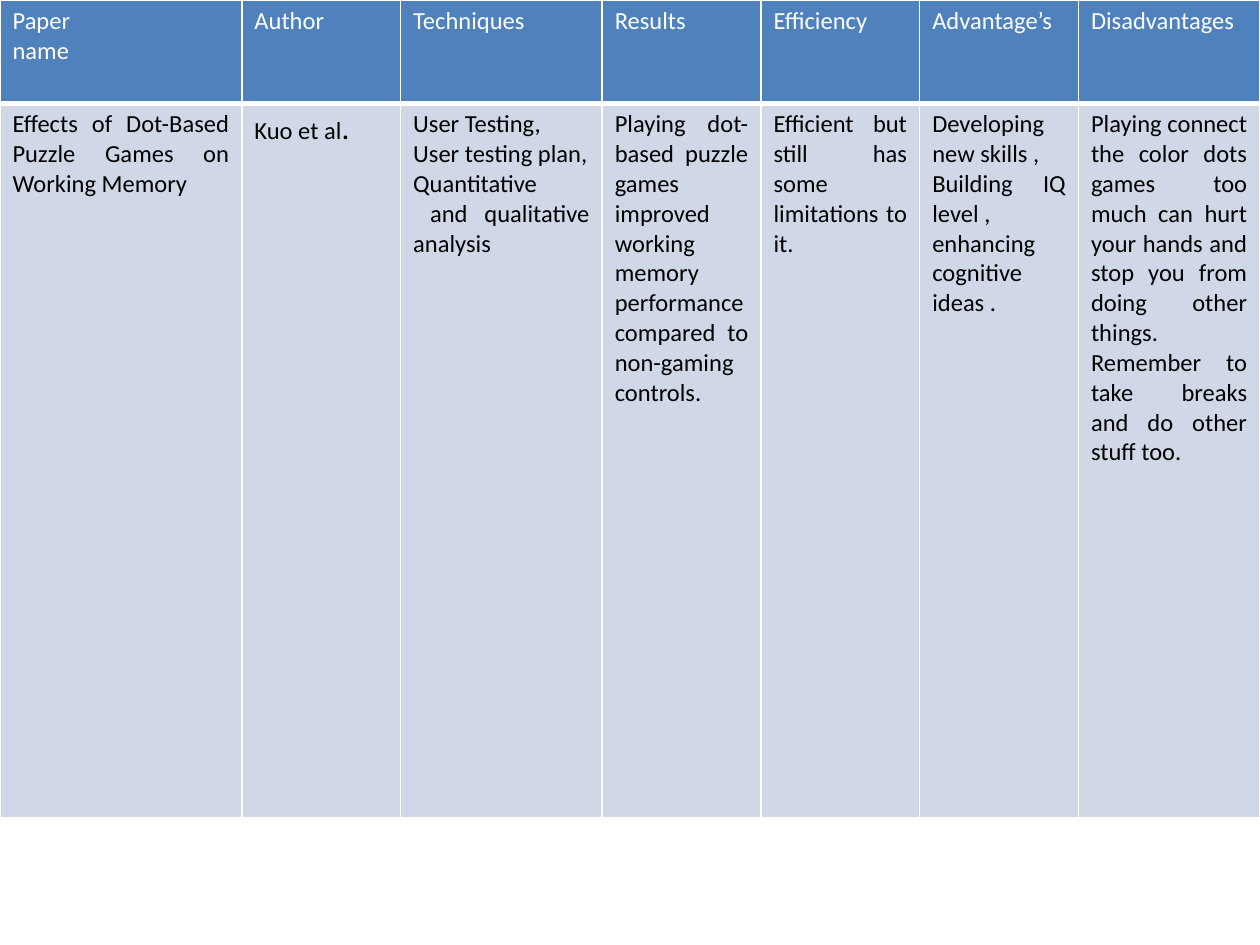
import pptx
import pptx.dml.color
import pptx.enum.text
import pptx.oxml
import pptx.oxml.ns
import pptx.util
from pptx.util import Inches

COLORS = {"header": "4F81BD", "body": "D0D8E8", "border": "FFFFFF",
          "header_text": "FFFFFF", "body_text": "000000"}

# Heading paragraphs, body paragraphs, column width; a paragraph is a list of (text, size) runs
# or a plain string.
COLUMNS = [
    (["Paper", "name"], ["Effects of Dot-Based Puzzle Games on Working Memory"], 1.92),
    (["Author"], [[("Kuo et al", 14), (".", 18)]], 1.26),
    (["Techniques"], ["User Testing,", "User testing plan,", "Quantitative",
                      " and qualitative analysis"], 1.6),
    (["Results"], ["Playing dot-based puzzle games improved working memory performance "
                   "compared to non-gaming controls."], 1.26),
    (["Efficiency "], ["Efficient but still has some limitations to it."], 1.26),
    (["Advantage’s"], ["Developing new skills ,", "Building IQ level ,",
                       "enhancing cognitive ideas ."], 1.26),
    (["Disadvantages"], ["Playing connect the color dots games too much can hurt your hands "
                         "and stop you from doing other things. Remember to take breaks "
                         "and do other stuff too."], 1.44),
]
ROW_HEIGHTS = [0.82, 5.67]


def rgb(name):
    return pptx.dml.color.RGBColor.from_string(COLORS[name])


def write_text(frame, paragraphs, color, size=14, font="Calibri"):
    for index, content in enumerate(paragraphs):
        paragraph = frame.paragraphs[0] if index == 0 else frame.add_paragraph()
        paragraph.alignment = pptx.enum.text.PP_ALIGN.JUSTIFY
        runs = [(content, size)] if isinstance(content, str) else content
        for text, run_size in runs:
            run = paragraph.add_run()
            run.text = text
            run.font.name = font
            run.font.size = pptx.util.Pt(run_size)
            run.font.color.rgb = rgb(color)


def set_borders(cell, bottom_width):
    properties = cell._tc.get_or_add_tcPr()
    for side, width in (("L", 1), ("R", 1), ("T", 1), ("B", bottom_width)):
        properties.append(pptx.oxml.parse_xml(
            f'<a:ln{side} {pptx.oxml.ns.nsdecls("a")} w="{pptx.util.Pt(width)}">'
            f'<a:solidFill><a:srgbClr val="{COLORS["border"]}"/></a:solidFill></a:ln{side}>'))


def fill_cell(cell, paragraphs, style, bottom_width):
    write_text(cell.text_frame, paragraphs, f"{style}_text")
    set_borders(cell, bottom_width)
    cell.fill.solid()
    cell.fill.fore_color.rgb = rgb(style)


def main():
    deck = pptx.Presentation()
    deck.slide_width, deck.slide_height = Inches(10), Inches(7.5)
    slide = deck.slides.add_slide(deck.slide_layouts[6])
    table = slide.shapes.add_table(len(ROW_HEIGHTS), len(COLUMNS), 0, 0,
                                   Inches(10), Inches(sum(ROW_HEIGHTS))).table
    for row, height in zip(table.rows, ROW_HEIGHTS):
        row.height = Inches(height)
    for index, (heading, body, width) in enumerate(COLUMNS):
        table.columns[index].width = Inches(width)
        fill_cell(table.cell(0, index), heading, "header", bottom_width=3)
        fill_cell(table.cell(1, index), body, "body", bottom_width=1)
    deck.save("out.pptx")


if __name__ == "__main__":
    main()
